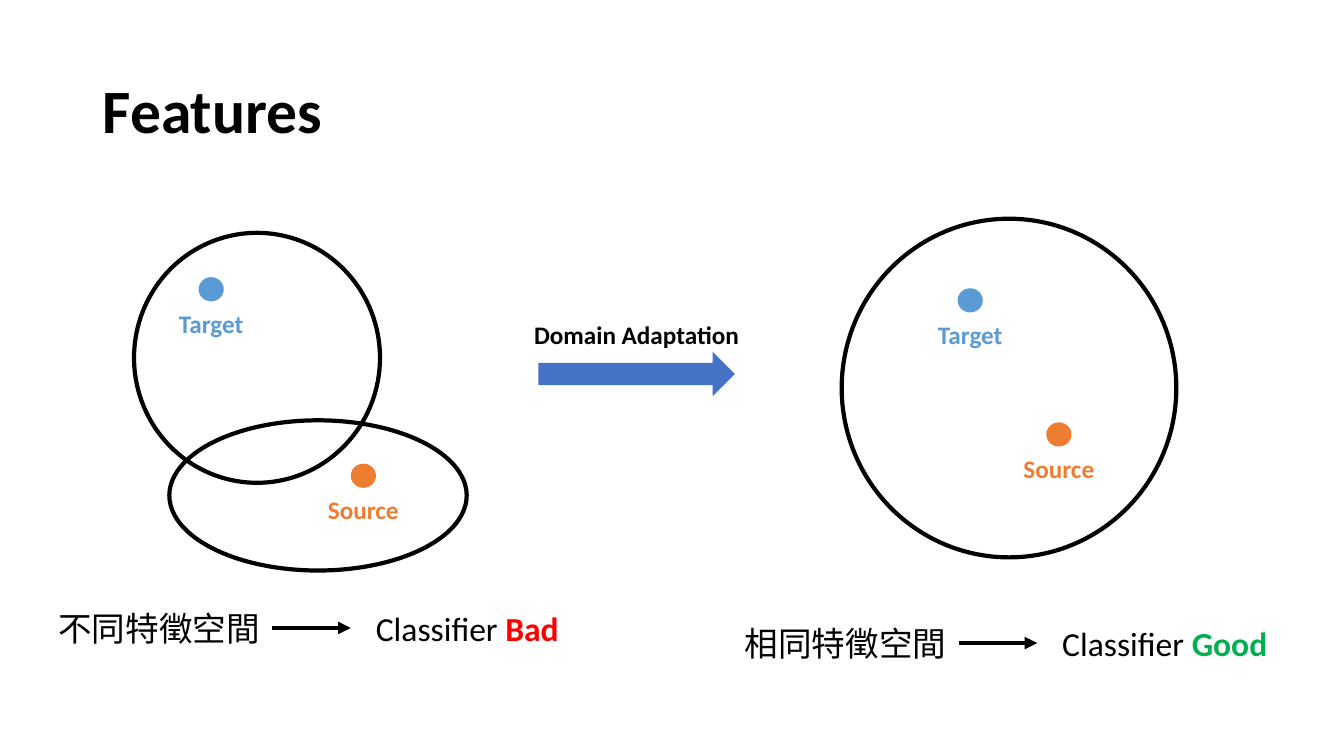
from collections import namedtuple

from lxml.etree import SubElement
from pptx import Presentation
from pptx.dml.color import RGBColor
from pptx.enum.shapes import MSO_CONNECTOR, MSO_SHAPE
from pptx.enum.text import MSO_ANCHOR, PP_ALIGN
from pptx.oxml.ns import qn
from pptx.util import Inches, Pt

CELL = Inches(1) / 3
COLUMNS, ROWS = 40, 22.5
LATIN, CHINESE = "Calibri", "Noto Sans CJK SC"
COLORS = {
    "ink": "000000",
    "target": "5B9BD5",
    "source": "ED7D31",
    "arrow": "4472C4",
    "bad": "FF0000",
    "good": "00B050",
}


class Box(namedtuple("Box", "left top width height")):
    """A rectangle measured in grid columns and rows."""

    def inner(self, left, top, width, height):
        """Return a box placed relative to this one."""
        return Box(self.left + left, self.top + top, width, height)

    def lengths(self):
        """Return the four measures as slide lengths."""
        return [round(value * CELL) for value in self]


def color(name):
    """Look up a named colour."""
    return RGBColor.from_string(COLORS[name])


def add_text(slide, box, runs, size, font=LATIN, bold=None, align=PP_ALIGN.LEFT, wrap=False):
    """Add one paragraph made of (text, colour name, bold) runs."""
    shape = slide.shapes.add_textbox(*box.lengths())
    frame = shape.text_frame
    frame.word_wrap = wrap
    paragraph = frame.paragraphs[0]
    paragraph.alignment = align
    paragraph.font.size = Pt(size)
    paragraph.font.bold = bold
    paragraph.font.name = font
    for latin in list(paragraph._p.iter(qn("a:latin"))):
        SubElement(latin.getparent(), qn("a:ea"), typeface=font)
    for text, color_name, run_bold in runs:
        run = paragraph.add_run()
        run.text = text
        run.font.color.rgb = color(color_name)
        run.font.bold = run_bold
    return shape


def add_filled(slide, kind, box, color_name):
    """Add a solid shape without an outline."""
    shape = slide.shapes.add_shape(kind, *box.lengths())
    shape.shadow.inherit = False
    shape.fill.solid()
    shape.fill.fore_color.rgb = color(color_name)
    shape.line.fill.background()


def add_outline(slide, box):
    """Add an open ellipse that stands for a feature space."""
    shape = slide.shapes.add_shape(MSO_SHAPE.OVAL, *box.lengths())
    shape.shadow.inherit = False
    shape.fill.background()
    shape.line.color.rgb = color("ink")
    shape.line.width = Pt(3)


def add_marker(slide, dot, name):
    """Add a domain's dot with its name centred below."""
    add_filled(slide, MSO_SHAPE.OVAL, dot, name)
    width = 2.7
    label = dot.inner((dot.width - width) / 2, 0.78, width, 1.2)
    add_text(slide, label, [(name.title(), name, None)], 18, bold=True, align=PP_ALIGN.CENTER)


def add_caption(slide, box, space, verdict):
    """Add the feature space's name, an arrow and the classifier's verdict."""
    name = add_text(slide, box.inner(0, 0, 6.66, box.height), [(space, "ink", None)], 24, CHINESE)
    middle = box.top + box.height / 2
    start, end, height = (round(value * CELL) for value in (box.left + 6.66, box.left + 9, middle))
    connector = slide.shapes.add_connector(MSO_CONNECTOR.STRAIGHT, start, height, end, height)
    connector.begin_connect(name, 3)
    connector.line.color.rgb = color("ink")
    connector.line.width = Pt(3)
    properties = connector._element.spPr
    SubElement(properties.find(qn("a:ln")), qn("a:tailEnd"), type="triangle")
    SubElement(properties, qn("a:effectLst"))
    runs = [("Classifier ", "ink", None), (verdict.title(), verdict, True)]
    add_text(slide, box.inner(9.45, 0, box.width - 9.45, box.height), runs, 24)


def add_panel(slide, box, outlines, target, source, space, verdict):
    """Add feature spaces, both domains and a caption along the bottom."""
    for outline in outlines:
        add_outline(slide, box.inner(*outline))
    for name, place in (("target", target), ("source", source)):
        add_marker(slide, box.inner(*place, 0.75, 0.72), name)
    add_caption(slide, box.inner(0, box.height - 1.5, box.width, 1.5), space, verdict)


def add_title(slide, box):
    """Add the slide's heading."""
    shape = add_text(slide, box, [("Features", "ink", None)], 44, bold=True, wrap=True)
    shape.text_frame.vertical_anchor = MSO_ANCHOR.MIDDLE
    shape.text_frame.paragraphs[0].line_spacing = 0.9


def add_adaptation(slide, box):
    """Add the block arrow with its label above."""
    label = [("Domain Adaptation", "ink", None)]
    add_text(slide, box.inner(0, 0, box.width, 1.2), label, 18, bold=True, align=PP_ALIGN.CENTER)
    add_filled(slide, MSO_SHAPE.RIGHT_ARROW, box.inner(0.45, 1.11, box.width - 0.9, 1.32), "arrow")


def main():
    """Build and save the slide."""
    presentation = Presentation()
    presentation.slide_width = round(COLUMNS * CELL)
    presentation.slide_height = round(ROWS * CELL)
    slide = presentation.slides.add_slide(presentation.slide_layouts[6])
    add_title(slide, Box(2.76, 1.2, 34.5, 4.35))
    add_panel(
        slide, Box(1.44, 6.93, 15.51, 12.51),
        [(2.55, 0, 7.32, 7.44), (3.6, 5.58, 8.85, 4.47)],
        (4.47, 1.32), (9, 6.87), "不同特徵空間", "bad",
    )
    add_adaptation(slide, Box(15.57, 9.36, 6.75, 2.43))
    add_panel(
        slide, Box(21.87, 6.51, 16.23, 13.38),
        [(3.18, 0, 9.96, 10.08)],
        (6.63, 2.07), (9.27, 6.06), "相同特徵空間", "good",
    )
    presentation.save("out.pptx")


if __name__ == "__main__":
    main()
